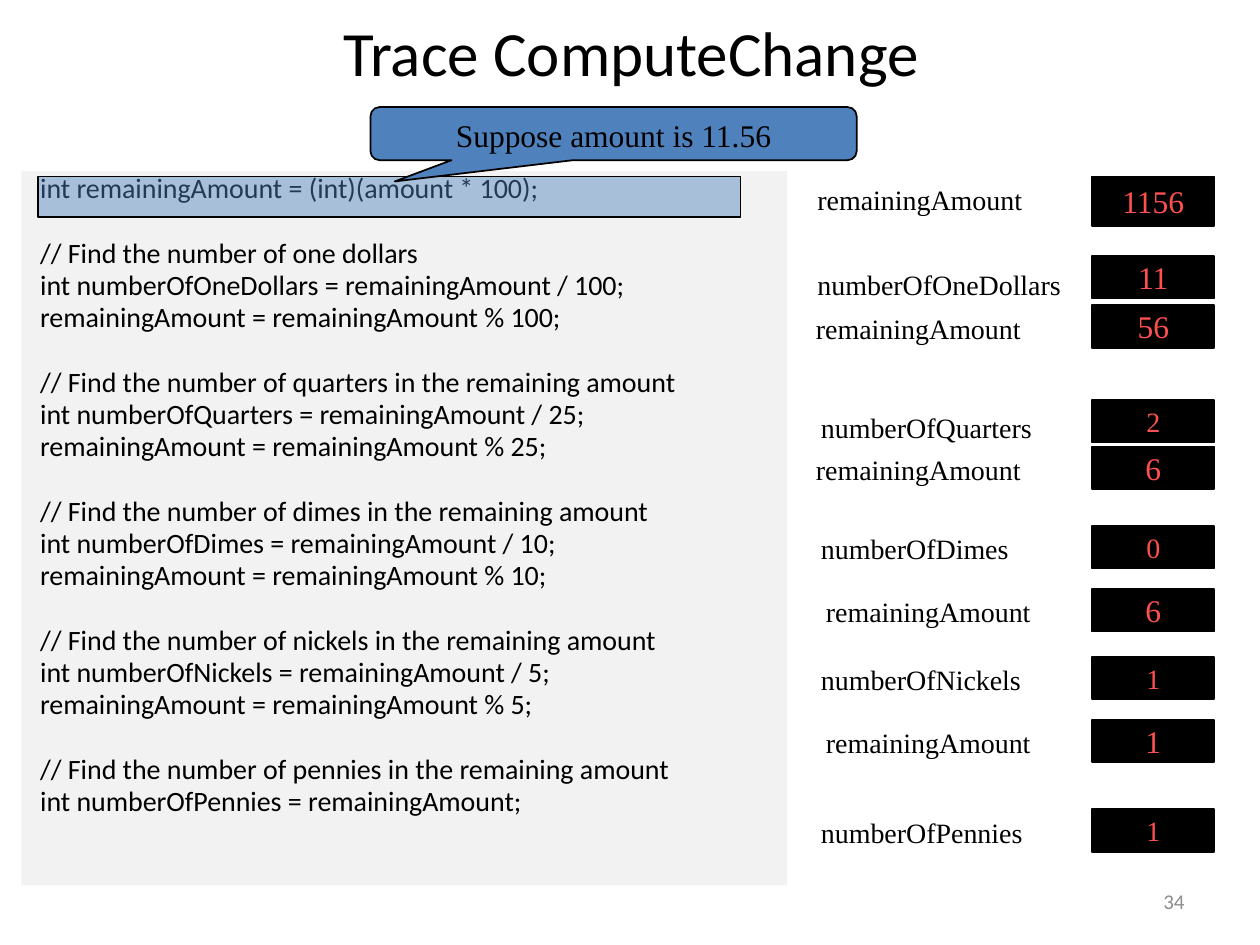
import pptx
import pptx.util
import pptx.dml.color
import pptx.enum.shapes
import pptx.enum.text
import lxml.etree
from collections import namedtuple
from dataclasses import dataclass
from pptx.util import Cm, Pt

Box = namedtuple("Box", "left top width height")
ALIGN = pptx.enum.text.PP_ALIGN
ANCHOR = pptx.enum.text.MSO_ANCHOR
SHAPE = pptx.enum.shapes.MSO_SHAPE


@dataclass(frozen=True)
class Theme:
    sans: str = "Calibri"
    serif: str = "Times New Roman"
    ink: str = "000000"
    panel: str = "F2F2F2"
    accent: str = "4F81BD"
    value: str = "FF5050"
    muted: str = "8C8C8C"
    title: int = 36
    large: int = 18
    body: int = 16
    small: int = 12


THEME = Theme()

CODE_GROUPS = [
    ["int remainingAmount = (int)(amount * 100);"],
    ["// Find the number of one dollars",
     "int numberOfOneDollars = remainingAmount / 100;",
     "remainingAmount = remainingAmount % 100;"],
    ["// Find the number of quarters in the remaining amount",
     "int numberOfQuarters = remainingAmount / 25;",
     "remainingAmount = remainingAmount % 25;"],
    ["// Find the number of dimes in the remaining amount",
     "int numberOfDimes = remainingAmount / 10;",
     "remainingAmount = remainingAmount % 10;"],
    ["// Find the number of nickels in the remaining amount",
     "int numberOfNickels = remainingAmount / 5;",
     "remainingAmount = remainingAmount % 5;"],
    ["// Find the number of pennies in the remaining amount",
     "int numberOfPennies = remainingAmount;"],
]

# Variable, value, value size, cell top, label left, label drop below cell top (cm)
VARIABLES = [
    ("remainingAmount", "1156", THEME.large, 0, 0.03, 0),
    ("numberOfOneDollars", "11", THEME.large, 1.6, 0.03, 0.1),
    ("remainingAmount", "56", THEME.large, 2.59, 0, 0),
    ("numberOfQuarters", "2", THEME.body, 4.5, 0.1, 0.1),
    ("remainingAmount", "6", THEME.large, 5.44, 0, 0),
    ("numberOfDimes", "0", THEME.body, 7.04, 0.1, 0),
    ("remainingAmount", "6", THEME.large, 8.31, 0.2, 0),
    ("numberOfNickels", "1", THEME.body, 9.68, 0.1, 0),
    ("remainingAmount", "1", THEME.large, 10.95, 0.2, 0),
    ("numberOfPennies", "1", THEME.body, 12.75, 0.1, 0),
]


def rgb(color):
    return pptx.dml.color.RGBColor.from_string(color)


def style(para, font, size, color, align=ALIGN.LEFT):
    para.alignment = align
    para.font.name = font
    para.font.size = Pt(size)
    para.font.color.rgb = rgb(color)


def add_text(page, box, text, font, size, color, align=ALIGN.LEFT, anchor=ANCHOR.TOP):
    frame = page.shapes.add_textbox(*map(Cm, box)).text_frame
    frame.word_wrap = True
    frame.vertical_anchor = anchor
    frame.text = text
    style(frame.paragraphs[0], font, size, color, align)


def add_block(page, kind, box, fill, line=None):
    block = page.shapes.add_shape(kind, *map(Cm, box))
    block.shadow.inherit = False
    block.fill.solid()
    block.fill.fore_color.rgb = rgb(fill)
    if line:
        block.line.color.rgb = rgb(line)
        block.line.width = Pt(1)
    else:
        block.line.fill.background()
    return block


def code_panel(page, box):
    frame = add_block(page, SHAPE.RECTANGLE, box, THEME.panel).text_frame
    frame.word_wrap = True
    frame.vertical_anchor = ANCHOR.TOP
    frame.margin_left = Cm(0.38)
    para = frame.paragraphs[0]
    for group_index, group in enumerate(CODE_GROUPS):
        for line_index, line in enumerate(group):
            if group_index or line_index:
                para = frame.add_paragraph()
                # A new group starts one line lower
                para.space_before = Pt(3 if line_index else 21.6)
            para.text = line
            para.line_spacing = 0.8
            style(para, THEME.sans, THEME.body, THEME.ink)


def value_cell(page, box, value, size):
    frame = add_block(page, SHAPE.RECTANGLE, box, THEME.ink, THEME.ink).text_frame
    frame.word_wrap = False
    frame.vertical_anchor = ANCHOR.MIDDLE
    frame.margin_left = frame.margin_right = Cm(0.03)
    frame.margin_top = frame.margin_bottom = Cm(0.03)
    frame.text = value
    style(frame.paragraphs[0], THEME.serif, size, THEME.value, ALIGN.CENTER)


def variable_panel(page, box):
    cell_width = 2.46
    cell_left = box.left + box.width - cell_width
    for index, (name, value, size, top, indent, drop) in enumerate(VARIABLES):
        row_top = box.top + top
        cell_height = 0.86 if index else 1
        value_cell(page, Box(cell_left, row_top, cell_width, cell_height), value, size)
        label = Box(box.left + indent, row_top + drop, 5.7, 0.94)
        add_text(page, label, name, THEME.serif, THEME.body, THEME.ink)


def current_line(page, box):
    bar = add_block(page, SHAPE.RECTANGLE, box, THEME.accent, THEME.ink)
    color = bar.fill._xPr.find(".//" + pptx.oxml.ns.qn("a:srgbClr"))
    lxml.etree.SubElement(color, pptx.oxml.ns.qn("a:alpha"), val="45000")


def callout(page, box, text):
    bubble = add_block(page, SHAPE.ROUNDED_RECTANGULAR_CALLOUT, box, THEME.accent, THEME.ink)
    for index, value in enumerate((-0.45, 0.9, 0.17)):
        bubble.adjustments[index] = value
    frame = bubble.text_frame
    frame.word_wrap = True
    frame.vertical_anchor = ANCHOR.TOP
    frame.text = text
    style(frame.paragraphs[0], THEME.serif, THEME.large, THEME.ink, ALIGN.CENTER)


def trace_slide(page, box):
    def place(left, top, width, height):
        return Box(box.left + left, box.top + top, width, height)

    # Title
    add_text(page, place(1.93, 0.46, 21.59, 1.17), "Trace ComputeChange",
             THEME.sans, THEME.title, THEME.ink, ALIGN.CENTER, ANCHOR.MIDDLE)
    # Code with the current line marked
    code_panel(page, place(0.43, 3.45, 15.44, 14.4))
    current_line(page, place(0.76, 3.56, 14.17, 0.81))
    callout(page, place(7.47, 2.16, 9.8, 1.07), "Suppose amount is 11.56")
    # Variables and their values
    variable_panel(page, place(16.2, 3.56, 8.28, 13.61))
    # Page number
    add_text(page, place(18.21, 17.65, 5.92, 1.02), "34",
             THEME.sans, THEME.small, THEME.muted, ALIGN.RIGHT, ANCHOR.MIDDLE)


deck = pptx.Presentation()
deck.slide_width, deck.slide_height = Cm(25.4), Cm(19.05)
page = deck.slides.add_slide(deck.slide_layouts[6])
trace_slide(page, Box(0, 0, 25.4, 19.05))
deck.save("out.pptx")
